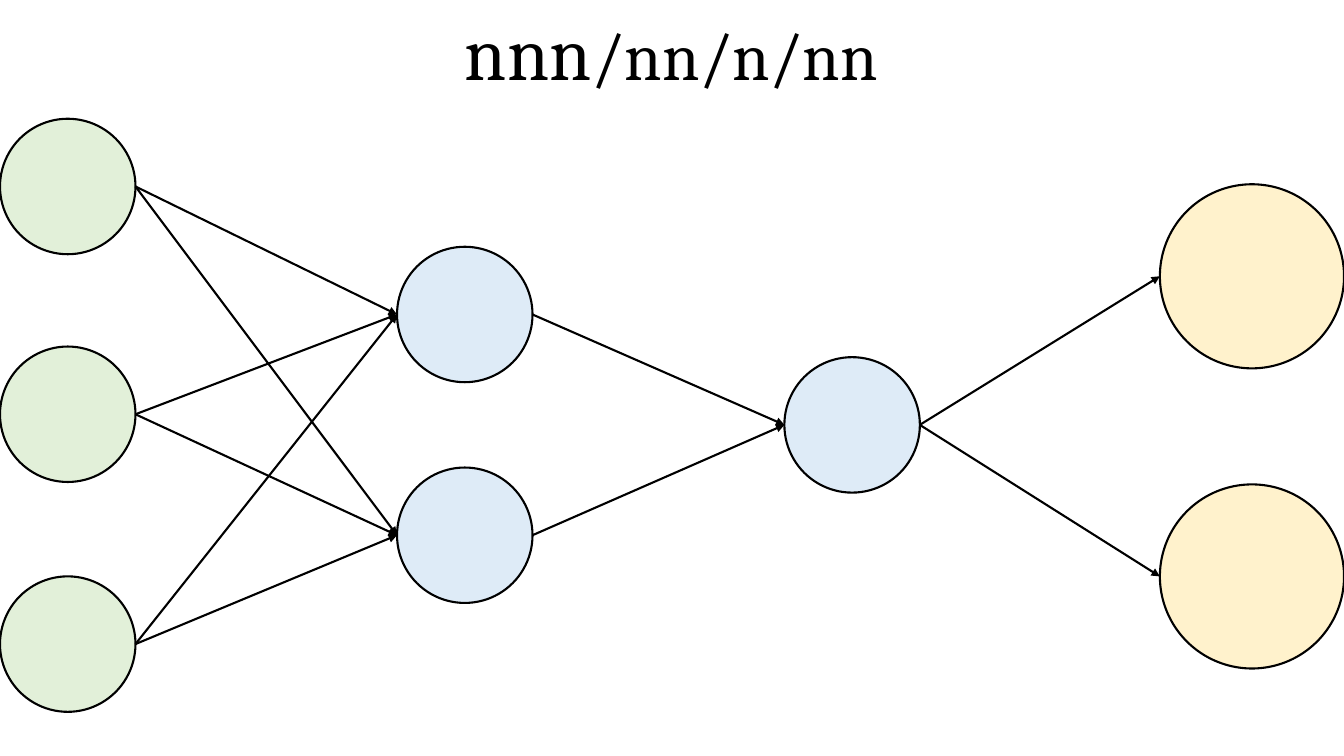
from dataclasses import dataclass
from itertools import pairwise, product

from lxml import etree
from pptx import Presentation
from pptx.dml.color import RGBColor
from pptx.enum.shapes import MSO_CONNECTOR, MSO_SHAPE
from pptx.enum.text import MSO_ANCHOR, MSO_AUTO_SIZE, PP_ALIGN
from pptx.oxml.ns import qn
from pptx.util import Inches, Pt

STRAIGHT = MSO_CONNECTOR.STRAIGHT
OVAL = MSO_SHAPE.OVAL
TOP = MSO_ANCHOR.TOP
NO_AUTOFIT = MSO_AUTO_SIZE.NONE
CENTER = PP_ALIGN.CENTER
TITLE_ONLY = 5


@dataclass(frozen=True)
class Theme:
    font: str = "Cambria"
    ink: str = "000000"
    input_fill: str = "E2F0D9"
    hidden_fill: str = "DEEBF7"
    output_fill: str = "FFF2CC"
    title_large: int = 54
    title_small: int = 48
    stroke: float = 1.5


@dataclass(frozen=True)
class Layer:
    center: float
    rows: tuple
    diameter: float
    fill: str


class NetworkSlide:
    def __init__(self, deck, theme):
        self.theme = theme
        self.width = deck.slide_width
        self.height = deck.slide_height
        self.page = deck.slides.add_slide(deck.slide_layouts[TITLE_ONLY])

    def across(self, percent):
        return round(self.width * percent / 100)

    def down(self, percent):
        return round(self.height * percent / 100)

    def outline(self, line):
        line.color.rgb = RGBColor.from_string(self.theme.ink)
        line.width = Pt(self.theme.stroke)

    def title(self, left, top, width, height, spans):
        box = self.page.shapes.title
        box.left, box.top = self.across(left), self.down(top)
        box.width, box.height = self.across(width), self.down(height)
        frame = box.text_frame
        frame.auto_size = NO_AUTOFIT
        frame.vertical_anchor = TOP
        para = frame.paragraphs[0]
        para.alignment = CENTER
        for text, size in spans:
            span = para.add_run()
            span.text = text
            span.font.name = self.theme.font
            span.font.size = Pt(size)
            span.font.color.rgb = RGBColor.from_string(self.theme.ink)

    def neuron(self, layer, row):
        size = self.across(layer.diameter)
        left = self.across(layer.center) - size // 2
        circle = self.page.shapes.add_shape(
            OVAL, left, self.down(row) - size // 2, size, size)
        circle.shadow.inherit = False
        circle.fill.solid()
        circle.fill.fore_color.rgb = RGBColor.from_string(layer.fill)
        self.outline(circle.line)

    def arrow(self, source, start_row, target, end_row):
        arrow = self.page.shapes.add_connector(
            STRAIGHT,
            self.across(source.center + source.diameter / 2),
            self.down(start_row),
            self.across(target.center - target.diameter / 2),
            self.down(end_row))
        self.outline(arrow.line)
        line = arrow.line._get_or_add_ln()
        etree.SubElement(line, qn("a:tailEnd"), type="triangle")
        etree.SubElement(arrow._element.spPr, qn("a:effectLst"))

    def network(self, layers):
        for layer in layers:
            for row in layer.rows:
                self.neuron(layer, row)
        for source, target in pairwise(layers):
            for start_row, end_row in product(source.rows, target.rows):
                self.arrow(source, start_row, target, end_row)


def main():
    deck = Presentation()
    deck.slide_width, deck.slide_height = Inches(13.33), Inches(7.5)
    theme = Theme()
    slide = NetworkSlide(deck, theme)
    slide.title(31.13, 0, 37.66, 13.47, [
        ("nnn", theme.title_large),
        ("/nn/n/nn", theme.title_small),
    ])
    small, large = 10.08, 13.7
    slide.network([
        Layer(5.04, (24.67, 54.8, 85.2), small, theme.input_fill),
        Layer(34.58, (41.6, 70.8), small, theme.hidden_fill),
        Layer(63.4, (56.2,), small, theme.hidden_fill),
        Layer(93.15, (36.55, 76.25), large, theme.output_fill),
    ])
    deck.save("out.pptx")


if __name__ == "__main__":
    main()
